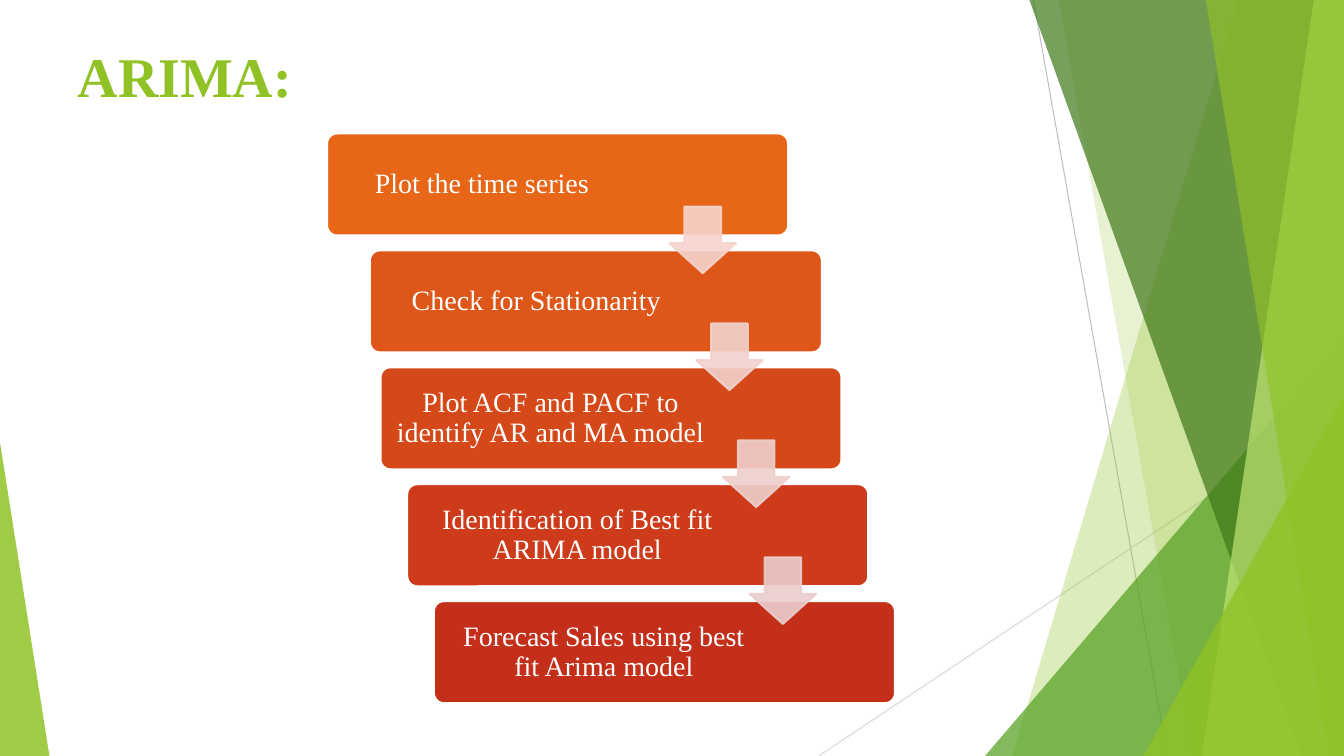
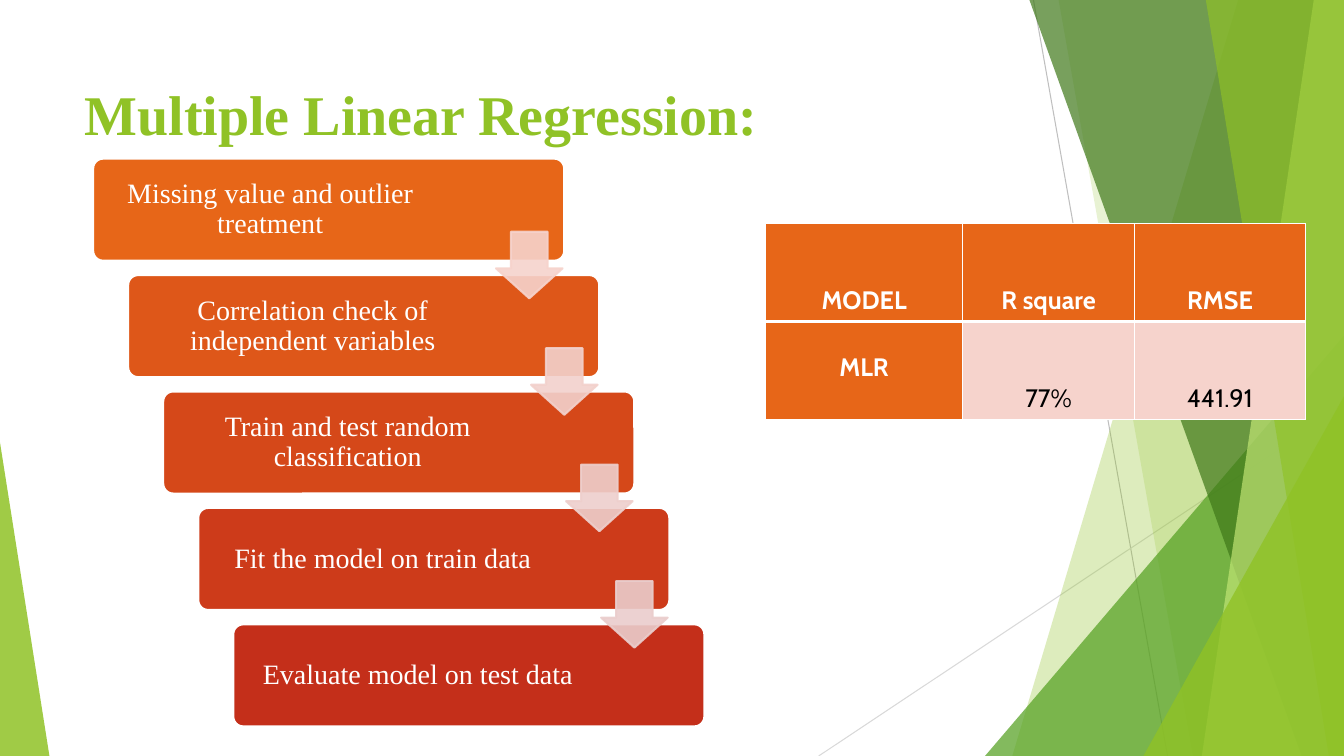
from dataclasses import dataclass

import lxml.etree
import pptx
import pptx.dml.color
import pptx.enum.shapes
import pptx.enum.text
import pptx.util
from pptx.oxml.ns import qn
from pptx.util import Inches

SHAPE = pptx.enum.shapes.MSO_SHAPE
STRAIGHT = pptx.enum.shapes.MSO_CONNECTOR.STRAIGHT
ALIGN = pptx.enum.text.PP_ALIGN
ANCHOR = pptx.enum.text.MSO_ANCHOR
WIDTH, HEIGHT = 13.33, 7.5


@dataclass(frozen=True)
class Theme:
    green: str = "90C226"
    mid_green: str = "54A021"
    dark_green: str = "3F7819"
    pale_green: str = "C0E474"
    gray: str = "BFBFBF"
    light_gray: str = "D9D9D9"
    white: str = "FFFFFF"
    black: str = "000000"
    orange: str = "E76618"
    pink: str = "F6D3CC"
    steps: tuple[str, ...] = ("E76618", "DE5719", "D54819", "CD3B1A", "C42F1A")
    arrows: tuple[str, ...] = ("F6D3CC", "F2D1CC", "EECFCC", "EACDCC")
    serif: str = "Times New Roman"
    sans: str = "Cabin"
    title_size: int = 40
    step_size: int = 20
    table_size: int = 18


THEME = Theme()


@dataclass(frozen=True)
class Ray:
    start: tuple[float, float]
    end: tuple[float, float]
    color: str


@dataclass(frozen=True)
class Band:
    """A full-height band from a slanted left edge to the right slide edge."""
    top_x: float
    bottom_x: float
    color: str
    opacity: int


@dataclass(frozen=True)
class Wedge:
    """A right triangle standing on the bottom slide edge."""
    left: float
    top: float
    width: float
    apex: int
    color: str
    opacity: int


@dataclass(frozen=True)
class Step:
    text: str
    text_width: float
    shift: float = 0
    trim: float = 0


@dataclass(frozen=True)
class Flow:
    """A staircase of steps; first and last are the outer boxes' top left corners."""
    first: tuple[float, float]
    last: tuple[float, float]
    step_width: float
    arrow_offset: float
    steps: tuple[Step, ...]

    def corner(self, index: int) -> tuple[float, float]:
        share = index / (len(self.steps) - 1)
        left, top = (a + (b - a) * share for a, b in zip(self.first, self.last))
        return left, top


BACKDROP = (
    Ray((10.25, 0), (11.58, HEIGHT), THEME.gray),
    Ray((WIDTH, 4.03), (8.12, HEIGHT), THEME.light_gray),
    Band(12.28, 10.04, THEME.green, 30),
    Band(10.5, 11.83, THEME.green, 20),
    Wedge(9.77, 3.33, 3.56, 1, THEME.mid_green, 72),
    Band(10.21, 12.91, THEME.dark_green, 70),
    Band(13.03, 11.92, THEME.pale_green, 70),
    Band(11.96, 13.18, THEME.green, 65),
    Wedge(11.34, 3.93, 1.99, 1, THEME.green, 80),
    Wedge(0, 4.39, 0.49, 0, THEME.green, 85),
)

ARIMA_FLOW = Flow((3.24, 1.32), (4.3, 5.96), 4.58, 3.4, (
    Step("Plot the time series", 3.02),
    Step("Check for Stationarity", 3.25, shift=0.16, trim=0.09),
    Step("Plot ACF and PACF to identify AR and MA model", 3.32),
    Step("Identification of Best fit ARIMA model", 3.32),
    Step("Forecast Sales using best fit Arima model", 3.32),
))

REGRESSION_FLOW = Flow((0.92, 1.57), (2.31, 6.19), 4.68, 4.0, (
    Step("Missing value and outlier treatment", 3.46),
    Step("Correlation check of independent variables", 3.61),
    Step("Train and test random classification", 3.61),
    Step("Fit the model on train data", 3.61),
    Step("Evaluate model on test data", 3.61),
))

RESULTS = (("MODEL", "R square", "RMSE"), ("MLR", "77%", "441.91"))


def rgb(color: str) -> pptx.dml.color.RGBColor:
    return pptx.dml.color.RGBColor.from_string(color)


def write(frame, text: str, *, size: int, color: str, font: str = THEME.serif,
          bold: bool = False, align=ALIGN.CENTER, spacing: float = 1.0) -> None:
    para = frame.paragraphs[0]
    para.alignment = align
    para.line_spacing = spacing
    span = para.add_run()
    span.text = text
    span.font.name = font
    span.font.size = pptx.util.Pt(size)
    span.font.bold = bold
    span.font.color.rgb = rgb(color)


def paint(shape, fill: str, *, line: str | None = None, weight: float = 1,
          opacity: int = 100) -> None:
    """Set fill and outline, with one opacity for both."""
    shape.shadow.inherit = False
    shape.fill.solid()
    shape.fill.fore_color.rgb = rgb(fill)
    if line is None:
        shape.line.fill.background()
    else:
        shape.line.color.rgb = rgb(line)
        shape.line.width = pptx.util.Pt(weight)
    if opacity < 100:
        for color in shape.element.spPr.iter(qn("a:srgbClr")):
            lxml.etree.SubElement(color, qn("a:alpha"), val=str(opacity * 1000))


def add_preset(page, kind, left: float, top: float, width: float, height: float,
               *adjustments: float):
    shape = page.shapes.add_shape(
        kind, Inches(left), Inches(top), Inches(width), Inches(height))
    for index, value in enumerate(adjustments):
        shape.adjustments[index] = value
    return shape


def add_ray(page, ray: Ray):
    line = page.shapes.add_connector(
        STRAIGHT, *(Inches(value) for value in ray.start + ray.end))
    line.line.color.rgb = rgb(ray.color)
    line.line.width = pptx.util.Pt(0.75)
    lxml.etree.SubElement(line.element.spPr, qn("a:effectLst"))
    return line


def add_band(page, band: Band):
    corners = [(Inches(x), Inches(y)) for x, y in (
        (band.top_x, 0), (WIDTH, 0), (WIDTH, HEIGHT), (band.bottom_x, HEIGHT))]
    builder = page.shapes.build_freeform(*corners[0])
    builder.add_line_segments(corners[1:], close=True)
    shape = builder.convert_to_shape()
    paint(shape, band.color, opacity=band.opacity)
    return shape


def add_wedge(page, wedge: Wedge):
    shape = add_preset(page, SHAPE.ISOSCELES_TRIANGLE, wedge.left, wedge.top,
                       wedge.width, HEIGHT - wedge.top, wedge.apex)
    paint(shape, wedge.color, opacity=wedge.opacity)
    return shape


def add_backdrop(page) -> None:
    """Draw the backdrop and move it into the page's layout, behind its placeholders."""
    drawers = {Ray: add_ray, Band: add_band, Wedge: add_wedge}
    tree = page.slide_layout.element.cSld.spTree
    for index, part in enumerate(BACKDROP):
        element = drawers[type(part)](page, part).element
        element.xpath(".//p:cNvPr")[0].set("id", str(100 + index))
        tree.insert(2 + index, element)


def add_title(page, text: str, left: float, top: float, width: float,
              height: float) -> None:
    title = page.shapes.title
    title.left, title.top = Inches(left), Inches(top)
    title.width, title.height = Inches(width), Inches(height)
    frame = title.text_frame
    frame.auto_size = pptx.enum.text.MSO_AUTO_SIZE.NONE
    frame.vertical_anchor = ANCHOR.TOP
    frame.margin_top = Inches(0.12)
    write(frame, text, size=THEME.title_size, color=THEME.green, bold=True,
          align=ALIGN.LEFT)


def add_flow(page, flow: Flow) -> None:
    inset, text_left = 0.08, 0.03
    for index, (step, color) in enumerate(zip(flow.steps, THEME.steps)):
        left, top = flow.corner(index)
        width = flow.step_width - step.trim
        box = add_preset(page, SHAPE.ROUNDED_RECTANGLE, left + step.shift, top,
                         width, 1.02, 0.1)
        paint(box, color, line=THEME.white, weight=2)
        frame = box.text_frame
        frame.word_wrap = True
        frame.vertical_anchor = ANCHOR.MIDDLE
        frame.margin_top = frame.margin_bottom = Inches(inset)
        frame.margin_left = Inches(text_left + inset)
        frame.margin_right = Inches(width - text_left - step.text_width + inset)
        write(frame, step.text, size=THEME.step_size, color=THEME.white, spacing=0.9)
    for index, color in enumerate(THEME.arrows):
        left, top = flow.corner(index)
        arrow = add_preset(page, SHAPE.DOWN_ARROW, left + flow.arrow_offset,
                           top + 0.73, 0.66, 0.66, 0.55, 0.45)
        paint(arrow, color, line=color, weight=1.5, opacity=90)


def add_border(cell, side: str, weight: float) -> None:
    properties = cell._tc.get_or_add_tcPr()
    line = lxml.etree.SubElement(
        properties, qn(f"a:ln{side}"), w=str(pptx.util.Pt(weight)))
    fill = lxml.etree.SubElement(line, qn("a:solidFill"))
    lxml.etree.SubElement(fill, qn("a:srgbClr"), val=THEME.white)


def add_results(page) -> None:
    table = page.shapes.add_table(2, 3, Inches(7.59), Inches(2.22), Inches(5.36),
                                  Inches(1.94)).table
    table.first_row = table.horz_banding = False
    for column, width in zip(table.columns, (1.96, 1.7, 1.7)):
        column.width = Inches(width)
    for row, values in enumerate(RESULTS):
        for column, text in enumerate(values):
            cell = table.cell(row, column)
            heading = row == 0 or column == 0
            row_label = row == 1 and column == 0
            for side in "LRTB":
                between_rows = side == ("B" if row == 0 else "T")
                add_border(cell, side, 3 if between_rows else 1)
            cell.fill.solid()
            cell.fill.fore_color.rgb = rgb(THEME.orange if heading else THEME.pink)
            cell.margin_left = cell.margin_right = Inches(0.07)
            cell.margin_top = Inches(0.3 if row_label else 0)
            cell.margin_bottom = 0
            write(cell.text_frame, text, size=THEME.table_size, font=THEME.sans,
                  color=THEME.white if heading else THEME.black, bold=heading,
                  spacing=1.0 if row_label else 3.0)


def main() -> None:
    deck = pptx.Presentation()
    deck.slide_width, deck.slide_height = Inches(WIDTH), Inches(HEIGHT)
    title_only = deck.slide_layouts[5]

    arima = deck.slides.add_slide(title_only)
    add_backdrop(arima)
    add_title(arima, "ARIMA:", 0.67, 0.29, 12, 0.94)
    add_flow(arima, ARIMA_FLOW)

    regression = deck.slides.add_slide(title_only)
    add_title(regression, "Multiple Linear Regression:", 0.74, 0.67, 9.4, 1.44)
    add_flow(regression, REGRESSION_FLOW)
    add_results(regression)

    deck.save("out.pptx")


if __name__ == "__main__":
    main()
